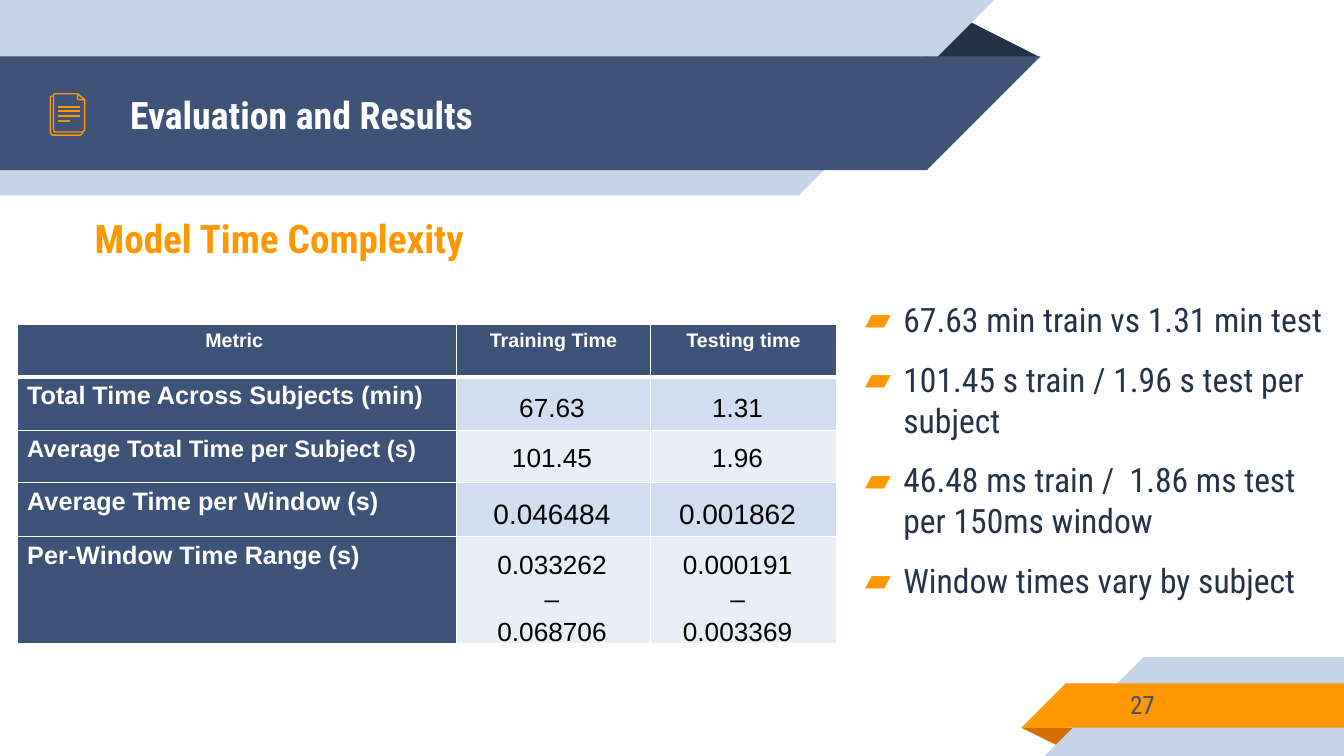
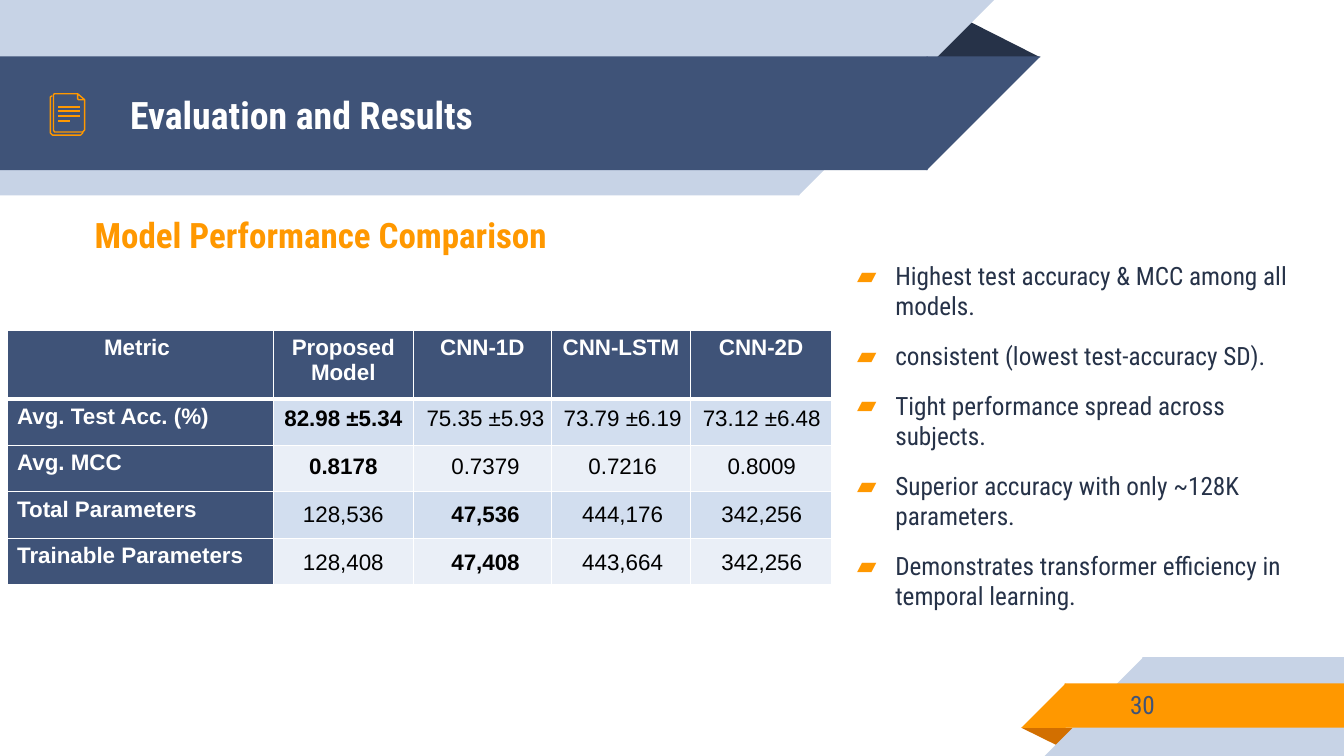
from dataclasses import dataclass

from lxml import etree
from pptx import Presentation
from pptx.dml.color import RGBColor
from pptx.enum.shapes import MSO_CONNECTOR, MSO_SHAPE as SHAPE
from pptx.enum.text import MSO_ANCHOR as ANCHOR, MSO_AUTO_SIZE as FIT, PP_ALIGN as ALIGN
from pptx.oxml.ns import qn
from pptx.util import Inches, Pt


@dataclass(frozen=True)
class Theme:
    navy: str = "3F5378"
    dark: str = "263248"
    pale: str = "C7D3E6"
    orange: str = "FF9800"
    rust: str = "D26F00"
    white: str = "FFFFFF"
    black: str = "000000"
    stripes: tuple = ("EAEFF7", "D2DEEF")
    font: str = "Roboto Condensed"
    table_font: str = "Arial"
    title_size: float = 27
    page_size: float = 18
    icon_line: float = 0.96
    rule: float = 1
    header_rule: float = 3
    value_spacing: float = 1.05
    overlap: float = 0.01


T = Theme()


def rgb(color):
    return RGBColor.from_string(color)


def box(*lengths):
    return [Inches(v) for v in lengths]


def add_bullet(p, indent=0.38):
    pPr = p._p.get_or_add_pPr()
    pPr.set("marL", str(Inches(indent)))
    pPr.set("indent", str(-Inches(indent)))
    color = etree.SubElement(pPr, qn("a:buClr"))
    etree.SubElement(color, qn("a:srgbClr"), val=T.orange)
    etree.SubElement(pPr, qn("a:buChar"), char="▰")


def write(tf, text, size, color, font=T.font, bold=False, align=ALIGN.LEFT,
          after=0, spacing=None, bullet=False):
    for line in text.split("\n"):
        first = tf.paragraphs[0]
        p = tf.add_paragraph() if first.runs else first
        if bullet:
            add_bullet(p)
        p.alignment = align
        p.space_before, p.space_after = Pt(0), Pt(after)
        p.line_spacing = spacing
        r = p.add_run()
        r.text = line
        r.font.name, r.font.size, r.font.bold = font, Pt(size), bold
        r.font.color.rgb = rgb(color)


def frame(sp):
    tf = sp.text_frame
    tf.word_wrap = True
    tf.auto_size = FIT.NONE
    tf.vertical_anchor = ANCHOR.MIDDLE
    tf.margin_left = tf.margin_right = Inches(0.1)
    tf.margin_top = tf.margin_bottom = Inches(0.1)
    return tf


def add_text(s, at, text, **fmt):
    write(frame(s.shapes.add_textbox(*box(*at))), text, **fmt)


def add_block(s, kind, at, color, rotation=0, adjust=None):
    sp = s.shapes.add_shape(kind, *box(*at))
    sp.shadow.inherit = False
    sp.fill.solid()
    sp.fill.fore_color.rgb = rgb(color)
    sp.line.fill.background()
    sp.rotation = rotation
    if adjust is not None:
        sp.adjustments[0] = adjust


def add_header_band(s, top, width, height, color):
    add_block(s, SHAPE.RECTANGLE, (0, top, width + T.overlap, height), color)
    add_block(s, SHAPE.RIGHT_TRIANGLE, (width, top, height, height), color, 90)


def add_footer_band(s, left, top, height, color):
    edge = left + height - T.overlap
    add_block(s, SHAPE.RIGHT_TRIANGLE, (left, top, height, height), color, 270)
    add_block(s, SHAPE.RECTANGLE, (edge, top, 13.33 - edge, height), color)


def add_outline(s, points, close=False):
    start, *rest = [box(*point) for point in points]
    builder = s.shapes.build_freeform(*start)
    builder.add_line_segments(rest, close=close)
    sp = builder.convert_to_shape()
    sp.shadow.inherit = False
    sp.fill.background()
    sp.line.color.rgb = rgb(T.orange)
    sp.line.width = Pt(T.icon_line)


def add_rule(s, left, right, y):
    line = s.shapes.add_connector(MSO_CONNECTOR.STRAIGHT, *box(left, y, right, y))
    line.line.color.rgb = rgb(T.orange)
    line.line.width = Pt(T.icon_line)
    etree.SubElement(line.element.spPr, qn("a:effectLst"))


def add_document_icon(s):
    add_outline(s, [(0.82, 1.31), (0.82, 1.32), (0.8, 1.34), (0.52, 1.34),
                    (0.5, 1.32), (0.5, 0.96), (0.52, 0.95)])
    add_outline(s, [(0.84, 0.99), (0.84, 1.29), (0.82, 1.31), (0.54, 1.31),
                    (0.53, 1.29), (0.53, 0.94), (0.54, 0.93), (0.77, 0.93)])
    for y, right in ((1.06, 0.79), (1.1, 0.79), (1.15, 0.79), (1.2, 0.69)):
        add_rule(s, 0.58, right, y)
    add_outline(s, [(0.77, 0.93), (0.84, 0.99), (0.78, 0.99), (0.77, 0.98)], True)


def decorate_layout(layout, s):
    first = len(s.shapes)
    add_block(s, SHAPE.ISOSCELES_TRIANGLE, (9.18, 0.18, 1.14, 0.39), T.dark,
              adjust=0.324)
    add_header_band(s, 0, 7.92, 1.94, T.pale)
    add_header_band(s, 0.56, 9.19, 1.13, T.navy)
    add_block(s, SHAPE.ISOSCELES_TRIANGLE, (10.13, 7.22, 0.57, 0.19), T.rust,
              rotation=180, adjust=0.324)
    add_footer_band(s, 10.36, 6.52, 0.98, T.pale)
    add_footer_band(s, 10.13, 6.78, 0.44, T.orange)
    add_document_icon(s)
    for i, sp in enumerate(list(s.shapes)[first:]):
        sp.element.xpath(".//p:cNvPr")[0].set("id", str(100 + i))
        layout.shapes.element.insert(2 + i, sp.element)


def place(sp, at):
    sp.left, sp.top, sp.width, sp.height = box(*at)


def set_borders(cell, **widths):
    tcPr = cell._tc.get_or_add_tcPr()
    for i, side in enumerate("LRTB"):
        ln = etree.Element(qn(f"a:ln{side}"), w=str(Pt(widths.get(side, T.rule))))
        fill = etree.SubElement(ln, qn("a:solidFill"))
        etree.SubElement(fill, qn("a:srgbClr"), val=T.white)
        tcPr.insert(i, ln)


def add_metric_table(s, at, cols, heights, header, labels, header_size, label_sizes):
    table = s.shapes.add_table(len(heights), len(cols), *box(*at)).table
    for column, width in zip(table.columns, cols):
        column.width = Inches(width)
    heavy = {0: {"B": T.header_rule}, 1: {"T": T.header_rule}}
    for r, height in enumerate(heights):
        table.rows[r].height = Inches(height)
        for c in range(len(cols)):
            cell = table.cell(r, c)
            cell.fill.solid()
            cell.fill.fore_color.rgb = rgb(T.stripes[r % 2] if r and c else T.navy)
            set_borders(cell, **heavy.get(r, {}))
    fmt = dict(color=T.white, font=T.table_font, bold=True)
    for c, text in enumerate(header):
        write(table.cell(0, c).text_frame, text, size=header_size,
              align=ALIGN.CENTER, **fmt)
    for r, (text, size) in enumerate(zip(labels, label_sizes), 1):
        write(table.cell(r, 0).text_frame, text, size=size, **fmt)


def add_value_column(s, at, values, sizes, gaps, bolds, wrap):
    tf = s.shapes.add_textbox(*box(*at)).text_frame
    tf.word_wrap = wrap
    tf.auto_size = FIT.SHAPE_TO_FIT_TEXT
    for value, size, gap, bold in zip(values, sizes, gaps, bolds):
        write(tf, value, size=size, color=T.black, font=T.table_font, bold=bold,
              align=ALIGN.CENTER, after=gap, spacing=T.value_spacing)


def add_result_content(s, page, heading, heading_top, heading_size,
                       list_at, list_size, points):
    write(frame(s.shapes.title), "Evaluation and Results", size=T.title_size,
          color=T.white, bold=True)
    add_text(s, (11.11, 6.76, 2.17, 0.46), str(page), size=T.page_size,
             color=T.navy)
    add_text(s, (0.84, heading_top, 10.11, 0.63), heading, size=heading_size,
             color=T.orange, bold=True)
    body = s.placeholders[1]
    place(body, list_at)
    write(frame(body), "\n".join(points), size=list_size, color=T.dark,
          after=14, bullet=True)


def fill_time_slide(s):
    add_result_content(
        s, 27, "Model Time Complexity", 2.04, 28, (8.48, 3.03, 4.79, 2.86), 24,
        ["67.63 min train vs 1.31 min test",
         "101.45 s train / 1.96 s test per subject",
         "46.48 ms train /  1.86 ms test per 150ms window",
         "Window times vary by subject"])
    add_metric_table(
        s, (0.17, 3.22, 8.13, 3.17), [4.36, 1.92, 1.85],
        [0.52, 0.53, 0.52, 0.53, 1.07],
        ["Metric ", "Training Time", "Testing time"],
        ["Total Time Across Subjects (min)", "Average Total Time per Subject (s)",
         "Average Time per Window (s)", "Per-Window Time Range (s)"],
        14, [18, 17, 18, 18])
    columns = [
        (4.55, ["67.63", "101.45", "0.046484", "0.033262", "–", "0.068706"]),
        (6.39, ["1.31", "1.96", "0.001862", "0.000191", "–", "0.003369"]),
    ]
    for left, values in columns:
        add_value_column(s, (left, 3.82, 1.85, 3.6), values,
                         [18.7, 18.7, 20, 18.7, 18.7, 18.7],
                         [12, 16, 12, 0.5, 0, 0.5], [False] * 6, True)


def fill_performance_slide(s):
    add_result_content(
        s, 30, "Model Performance Comparison", 2.01, 25,
        (8.4, 2.89, 4.72, 2.86), 18,
        ["Highest test accuracy & MCC among all models.",
         "consistent (lowest test‑accuracy SD).",
         "Tight performance spread across subjects.",
         "Superior accuracy with only ~128K parameters.",
         "Demonstrates transformer efficiency in temporal learning."])
    add_metric_table(
        s, (0.07, 3.28, 8.18, 2.52), [2.64, 1.39, 1.37, 1.38, 1.4],
        [0.68] + [0.46] * 4,
        ["Metric ", "Proposed Model", "CNN-1D", "CNN-LSTM", "CNN-2D"],
        ["Avg. Test Acc. (%)", "Avg. MCC", "Total Parameters",
         "Trainable Parameters"],
        16, [16] * 4)
    columns = [
        (6.86, ["73.12 ±6.48", "0.8009", "342,256", "342,256"], ()),
        (5.48, ["73.79 ±6.19", "0.7216", "444,176", "443,664"], ()),
        (4.12, ["75.35 ±5.93", "0.7379", "47,536", "47,408"], (2, 3)),
        (2.71, ["82.98 ±5.34", "0.8178", "128,536", "128,408"], (0, 1)),
    ]
    for left, values, best in columns:
        add_value_column(s, (left, 3.95, 1.39, 2.67), values, [16] * 4, [14] * 4,
                         [i in best for i in range(4)], False)


def main():
    prs = Presentation()
    prs.slide_width, prs.slide_height = box(13.33, 7.5)
    layout = prs.slide_layouts[1]
    place(layout.placeholders[0], (1.19, 0.57, 8.01, 1.12))
    time_slide, performance_slide = [prs.slides.add_slide(layout) for _ in range(2)]
    decorate_layout(layout, time_slide)
    fill_time_slide(time_slide)
    fill_performance_slide(performance_slide)
    prs.save("out.pptx")


if __name__ == "__main__":
    main()
